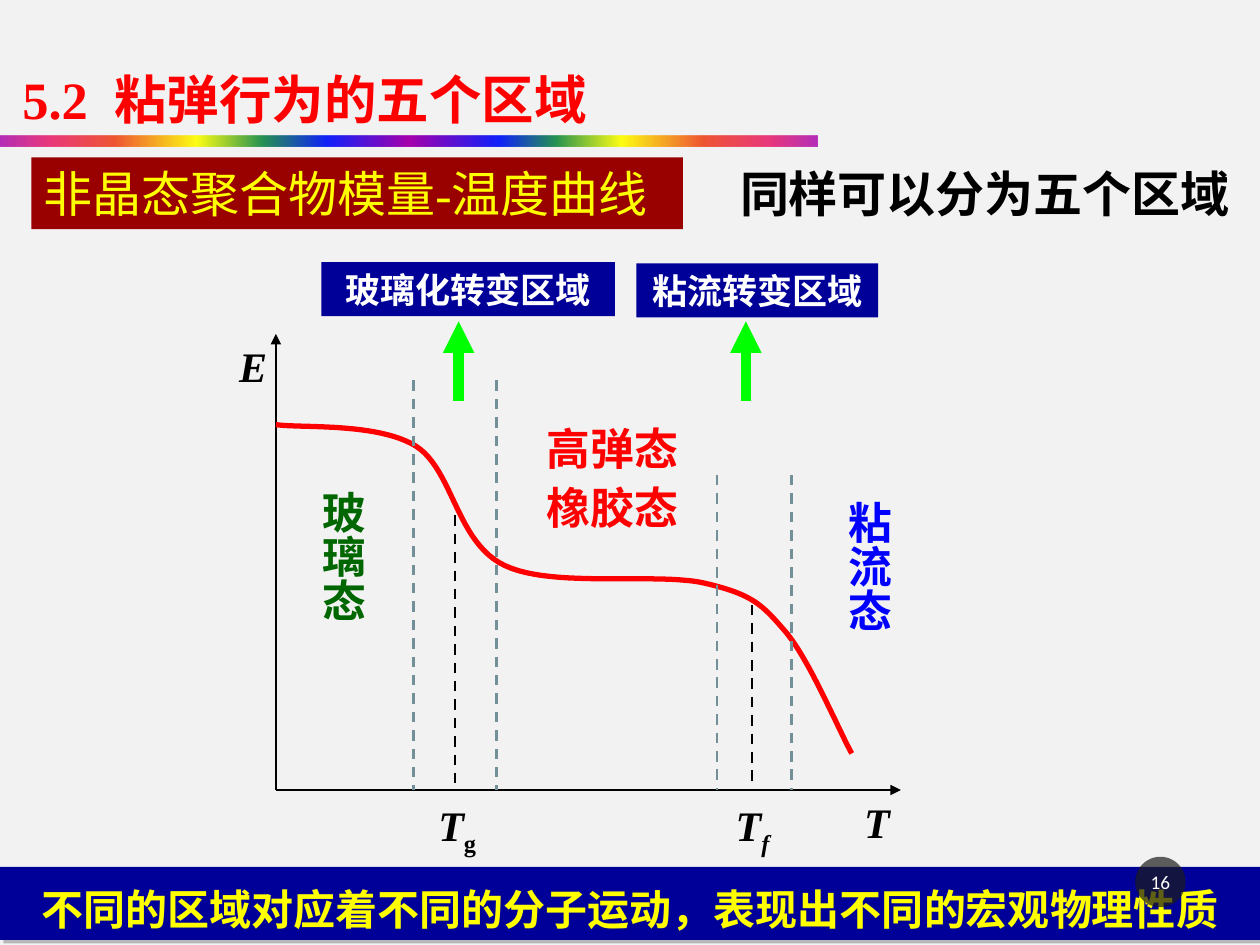
from lxml import etree
from pptx import Presentation
from pptx.dml.color import RGBColor
from pptx.enum.dml import MSO_LINE
from pptx.enum.shapes import MSO_CONNECTOR, MSO_SHAPE
from pptx.enum.text import MSO_ANCHOR, MSO_AUTO_SIZE, PP_ALIGN
from pptx.oxml import parse_xml
from pptx.oxml.ns import qn
from pptx.util import Inches, Pt

RECT, OVAL = MSO_SHAPE.RECTANGLE, MSO_SHAPE.OVAL
STRAIGHT, DASH = MSO_CONNECTOR.STRAIGHT, MSO_LINE.DASH
CENTER, LEFT = PP_ALIGN.CENTER, PP_ALIGN.LEFT
TOP, MIDDLE = MSO_ANCHOR.TOP, MSO_ANCHOR.MIDDLE
GROW, FIXED = MSO_AUTO_SIZE.SHAPE_TO_FIT_TEXT, MSO_AUTO_SIZE.NONE
NS = 'xmlns:a="http://schemas.openxmlformats.org/drawingml/2006/main"'
SERIF, SANS = "Times New Roman", "Calibri"
C = {name: RGBColor.from_string(value) for name, value in {
    "paper": "F2F2F2", "red": "FF0000", "black": "000000", "maroon": "990000",
    "yellow": "FFFF00", "grey": "738F97", "green": "006600", "blue": "0000FF",
    "navy": "000099", "white": "FFFFFF", "lime": "00FF00", "dark": "1D1D1D"}.items()}

prs = Presentation()
prs.slide_width, prs.slide_height = Inches(10), Inches(7.5)
COL, ROW = prs.slide_width / 100, prs.slide_height / 75  # grid of 100 x 75 cells
s = prs.slides.add_slide(prs.slide_layouts[6])
s.background.fill.solid()
s.background.fill.fore_color.rgb = C["paper"]


def add_text(box, paras, size, color, font=SERIF, fill=None, shape=RECT, bold=True,
             italic=False, align=LEFT, wrap=True, anchor=TOP, auto=GROW, spacing=None):
    """Text in a plain box or a filled shape; each paragraph is a list of runs."""
    x, y, w, h = box
    area = [int(x * COL), int(y * ROW), int(w * COL), int(h * ROW)]
    if fill is None:
        sp = s.shapes.add_textbox(*area)
    else:
        sp = s.shapes.add_shape(shape, *area)
        sp.shadow.inherit = False
        sp.fill.solid()
        sp.fill.fore_color.rgb = C[fill]
        sp.line.fill.background()
    tf = sp.text_frame
    for name, value in {"word_wrap": wrap, "auto_size": auto,
                        "vertical_anchor": anchor}.items():
        setattr(tf, name, value)
    for i, runs in enumerate(paras):
        p = tf.add_paragraph() if i else tf.paragraphs[0]
        p.alignment, p.line_spacing = align, spacing
        if i:
            p.space_before = Pt(size * 0.15)
        for text in runs:
            r = p.add_run()
            r.text = text
            for name, value in {"name": font, "size": Pt(size), "bold": bold,
                                "italic": italic}.items():
                setattr(r.font, name, value)
            r.font.color.rgb = C[color]
    return sp


def add_line(x1, y1, x2, y2, color, width=1.5, dash=None, arrow=False):
    ln = s.shapes.add_connector(STRAIGHT, int(x1 * COL), int(y1 * ROW),
                                int(x2 * COL), int(y2 * ROW))
    ln.line.color.rgb, ln.line.width = C[color], Pt(width)
    if dash:
        ln.line.dash_style = dash
    if arrow:
        etree.SubElement(ln.line._get_or_add_ln(), qn("a:tailEnd"), type="triangle")
    etree.SubElement(ln._element.spPr, qn("a:effectLst"))


# Rainbow rule under the title
STOPS = [(0, "A603AB", 82), (6, "E81766", 84), (14, "EE3F17", 87), (24, "FFFF00", 91),
         (32, "1A8D48", 94), (40, "0819FB", 96), (50, "A603AB", 100), (61, "0819FB", 96),
         (68, "1A8D48", 94), (76, "FFFF00", 91), (86, "EE3F17", 87), (94, "E81766", 84),
         (100, "A603AB", 82)]
sp = s.shapes.add_shape(RECT, 0, int(10.8 * ROW), int(64.9 * COL), int(0.8 * ROW))
sp.shadow.inherit = False
sp.line.fill.background()
sp.fill.gradient()
sp.fill.gradient_angle = 0
stops = sp._element.spPr.find(qn("a:gradFill")).find(qn("a:gsLst"))
for old in list(stops):
    stops.remove(old)
for pos, rgb, alpha in STOPS:
    stops.append(parse_xml(f'<a:gs {NS} pos="{pos * 1000}"><a:srgbClr val="{rgb}">'
                           f'<a:alpha val="{alpha * 1000}"/></a:srgbClr></a:gs>'))

# Title
add_text((0.8, 3.3, 51.7, 7.5), [["5.2  粘弹行为的五个区域"]], 30, "red", spacing=1.3)

# Transition temperatures
for x, y1, y2 in [(36.1, 40.9, 62.2), (59.7, 48, 62.7)]:
    add_line(x, y1, x, y2, "black", dash=DASH)
for x, w, sub, slanted in [(33.8, 5.2, "g", False), (57.4, 4.8, "f", True)]:
    sp = add_text((x, 63, w, 5), [["T", sub]], 24, "black", italic=True, wrap=False)
    r = sp.text_frame.paragraphs[0].runs[1]
    r.font.italic = slanted
    r._r.get_or_add_rPr().set("baseline", "-25000")

# Axes
X0, Y0 = 21.9, 62.7
for x, y in [(X0, 26.5), (71.5, Y0)]:
    add_line(X0, Y0, x, y, "black", arrow=True)
for x, y, w, name in [(18, 26.5, 4.2, "E"), (67.6, Y0, 4, "T")]:
    add_text((x, y, w, 5), [[name]], 24, "black", italic=True, wrap=False)

# Modulus curve: cubic segments sampled at even steps
KNOTS = [(21.9, 33.7), (23.8, 34), (29.9, 33.5), (33, 35.4), (36, 37.3), (36.2, 43.1),
         (40.1, 44.9), (43.9, 46.7), (52.3, 45.4), (56, 46.3), (59.8, 47.2), (60.5, 48),
         (62.4, 50.2), (64.3, 52.5), (66.5, 57.8), (67.6, 59.8)]
STEPS = 24
curve = []
for i in range(0, len(KNOTS) - 1, 3):
    for n in range(1, STEPS + 1):
        t = n / STEPS
        weights = [(1 - t) ** 3, 3 * t * (1 - t) ** 2, 3 * t * t * (1 - t), t ** 3]
        x, y = (sum(k * pt[axis] for k, pt in zip(weights, KNOTS[i:i + 4]))
                for axis in (0, 1))
        curve.append((int(x * COL), int(y * ROW)))
start_x, start_y = KNOTS[0]
path_builder = s.shapes.build_freeform(int(start_x * COL), int(start_y * ROW))
path_builder.add_line_segments(curve, close=False)
sp = path_builder.convert_to_shape()
sp.shadow.inherit = False
sp.fill.background()
sp.line.color.rgb, sp.line.width = C["red"], Pt(3)

# Headings
add_text((56.7, 12.5, 42.9, 5.7), [["同样可以分为五个区域"]], 28, "black", align=CENTER)
add_text((2.5, 12.5, 51.7, 5.7), [["非晶态聚合物模量-温度曲线"]], 28, "yellow",
         fill="maroon", bold=False, wrap=False, anchor=MIDDLE, auto=FIXED)

# Region boundaries
for x, y in [(32.8, 30.2), (39.4, 30.2), (56.9, 37.7), (62.8, 37.7)]:
    add_line(x, y, x, Y0, "grey", dash=DASH)

# State names
add_text((41.1, 33, 15, 10), [["高弹态"], ["橡胶态"]], 25, "red", SANS, align=CENTER)
for x, y, h, name, color in [(23.6, 38, 12.5, "玻璃态", "green"),
                             (65.3, 38.8, 13.4, "粘流态", "blue")]:
    sp = add_text((x, y, 6.2, h), [[name]], 25, color, SANS)
    sp.text_frame._txBody.bodyPr.set("vert", "eaVert")

# Transition regions and their arrows
for x, y, w, name, arrow_x in [(25.5, 20.8, 23.3, "玻璃化转变区域", 36.4),
                               (50.5, 20.9, 19.2, "粘流转变区域", 59.2)]:
    add_text((x, y, w, 4.3), [[name]], 20, "white", SANS, fill="navy", align=CENTER)
    add_line(arrow_x, 31.8, arrow_x, 25.5, "lime", width=6, arrow=True)

# Conclusion bar with its shadow
sp = add_text((0, 68.8, 100, 5.8), [["不同的区域对应着不同的分子运动，表现出不同的宏观物理性质"]],
              24, "yellow", "Arial", fill="navy", align=CENTER, spacing=1.2)
sp._element.spPr.find(qn("a:effectLst")).append(parse_xml(
    f'<a:outerShdw {NS} dist="{Pt(2.8)}" dir="2700000" algn="ctr" rotWithShape="0">'
    '<a:srgbClr val="808080"><a:alpha val="50000"/></a:srgbClr></a:outerShdw>'))

# Page number
sp = add_text((90.1, 68, 4, 4), [["16"]], 11, "white", SANS, fill="dark", shape=OVAL,
              bold=False, align=CENTER, anchor=MIDDLE, auto=FIXED)
sp.text_frame.margin_left = sp.text_frame.margin_right = Inches(0.02)
color = sp._element.spPr.find(qn("a:solidFill"))[0]
etree.SubElement(color, qn("a:alpha"), val="70000")

prs.save("out.pptx")
